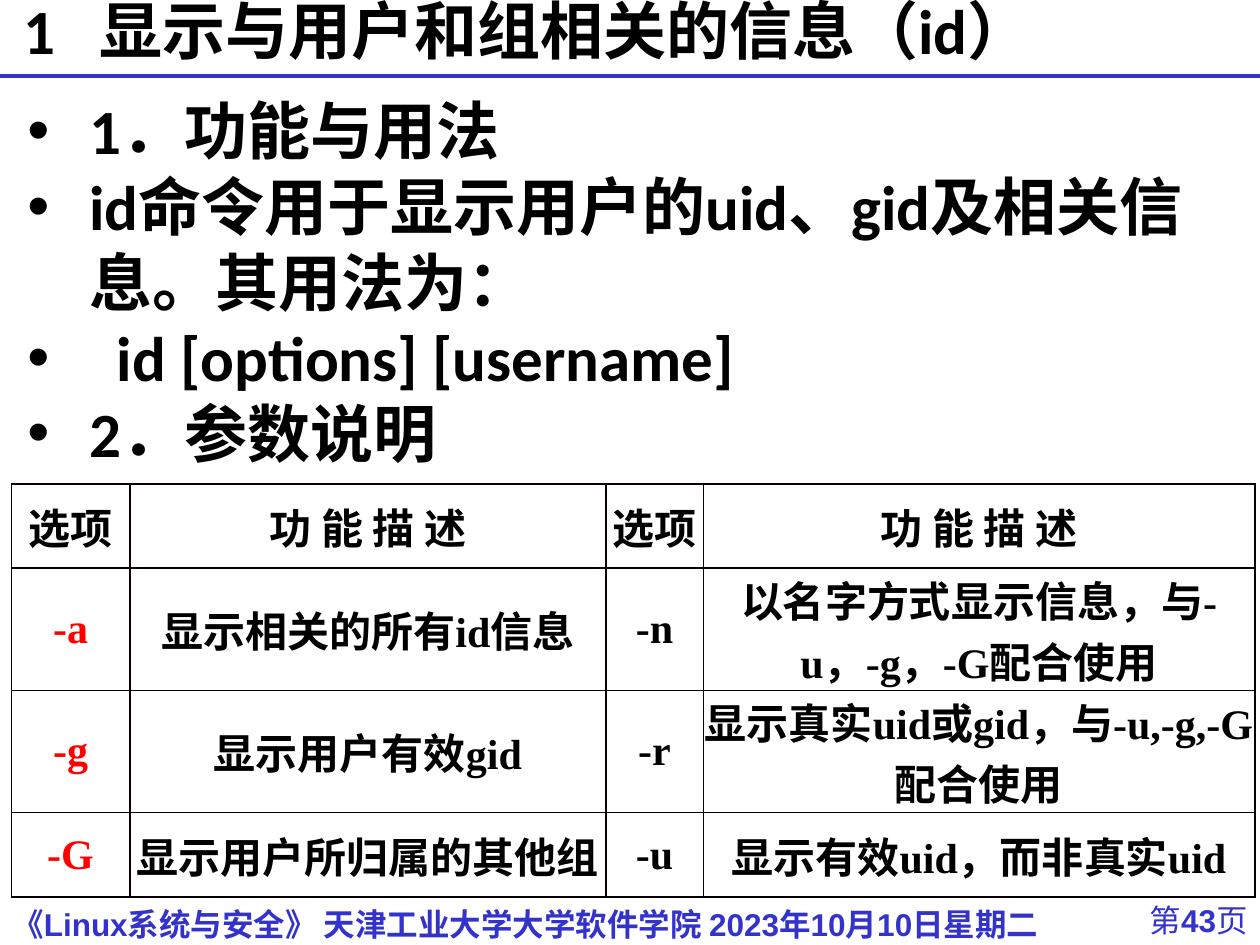
from dataclasses import dataclass

from lxml import etree
from pptx import Presentation
from pptx.dml.color import RGBColor
from pptx.enum import shapes, text
from pptx.oxml import ns
from pptx.util import Inches, Pt

BLACK, BLUE, RED, BORDER = "000000", "3333CC", "FF0000", "080000"


@dataclass
class Style:
    font: str
    size: int
    color: str = BLACK
    bold: bool = True
    east_asian: str = ""


@dataclass
class Bullet:
    wording: str
    indent: float = 0.49


HEADING = Style("Calibri", 36, east_asian="Calibri")
FOOTER = Style("Arial", 18, BLUE)
PAGE_NUMBER = Style("Arial", 18, BLUE, bold=False)
CELL = Style("Times New Roman", 24)
OPTION = Style("Times New Roman", 24, RED)

BULLETS = [
    Bullet("1．功能与用法"),
    Bullet("id命令用于显示用户的uid、gid及相关信息。其用法为："),
    Bullet("id [options] [username]", 0.71),
    Bullet("2．参数说明"),
]
COLUMNS = [0.94, 3.78, 0.77, 4.38]
ROWS = [0.67, 0.97, 0.97, 0.67]
OPTIONS = [
    ["选项", "功 能 描 述", "选项", "功 能 描 述"],
    ["-a", "显示相关的所有id信息", "-n", "以名字方式显示信息，与-u，-g，-G配合使用"],
    ["-g", "显示用户有效gid", "-r", "显示真实uid或gid，与-u,-g,-G配合使用"],
    ["-G", "显示用户所归属的其他组", "-u", "显示有效uid，而非真实uid"],
]


def rgb(value: str) -> RGBColor:
    return RGBColor.from_string(value)


def add_element(parent, tag: str, **attributes: str):
    return etree.SubElement(parent, ns.qn(tag), attributes)


def apply_style(para, style: Style) -> None:
    font = para.font
    font.name, font.size, font.bold = style.font, Pt(style.size), style.bold
    font.color.rgb = rgb(style.color)
    if style.east_asian:
        defaults = para._p.pPr.find(ns.qn("a:defRPr"))
        add_element(defaults, "a:ea", typeface=style.east_asian)


def add_box(page, left: float, top: float, width: float, height: float):
    """Add a wrapping text box and return its text frame."""
    box = page.shapes.add_textbox(
        Inches(left), Inches(top), Inches(width), Inches(height))
    box.text_frame.word_wrap = True
    return box.text_frame


def add_footer(page) -> None:
    para = add_box(page, 0, 7.13, 10, 0.37).paragraphs[0]
    para.text = "《Linux系统与安全》 天津工业大学大学软件学院 2023年10月10日星期二"
    apply_style(para, FOOTER)

    para = add_box(page, 8.11, 7.1, 1.89, 0.38).paragraphs[0]
    para.alignment = text.PP_ALIGN.RIGHT
    apply_style(para, PAGE_NUMBER)
    for wording in ("第", "43", "页"):
        span = para.add_run()
        span.text = wording
        if wording.isdigit():
            span.font.bold = True


def add_rule(page) -> None:
    rule = page.shapes.add_connector(
        shapes.MSO_CONNECTOR.STRAIGHT,
        Inches(0), Inches(0.6), Inches(10), Inches(0.6))
    rule.line.color.rgb = rgb(BLUE)
    rule.line.width = Pt(2.25)
    add_element(rule._element.spPr, "a:effectLst")


def add_title(page) -> None:
    frame = add_box(page, 0.09, -0.19, 9.41, 0.94)
    frame.vertical_anchor = text.MSO_ANCHOR.MIDDLE
    para = frame.paragraphs[0]
    para.text = "1\t显示与用户和组相关的信息（id）"
    para.line_spacing = 0.87
    tabs = add_element(para._p.get_or_add_pPr(), "a:tabLst")
    add_element(tabs, "a:tab", pos=str(Inches(0.6)), algn="l")
    apply_style(para, HEADING)


def add_bullets(page) -> None:
    frame = add_box(page, 0.12, 0.68, 9.76, 3.15)
    for index, bullet in enumerate(BULLETS):
        para = frame.add_paragraph() if index else frame.paragraphs[0]
        para.text = bullet.wording
        properties = para._p.get_or_add_pPr()
        properties.set("marL", str(Inches(bullet.indent)))
        properties.set("indent", str(-Inches(bullet.indent)))
        color = add_element(properties, "a:buClr")
        add_element(color, "a:srgbClr", val=BLACK)
        add_element(properties, "a:buFont", typeface="Arial")
        add_element(properties, "a:buChar", char="•")
        apply_style(para, HEADING)


def set_borders(cell, widths: dict[str, float]) -> None:
    properties = cell._tc.get_or_add_tcPr()
    for position, (side, width) in enumerate(widths.items()):
        line = etree.Element(ns.qn(f"a:ln{side}"), w=str(Pt(width)))
        fill = add_element(line, "a:solidFill")
        add_element(fill, "a:srgbClr", val=BORDER)
        properties.insert(position, line)


def add_options_table(page) -> None:
    table = page.shapes.add_table(
        len(ROWS), len(COLUMNS), Inches(0.09), Inches(3.84),
        Inches(sum(COLUMNS)), Inches(sum(ROWS))).table
    table.first_row = table.horz_banding = False
    for column, width in zip(table.columns, COLUMNS):
        column.width = Inches(width)
    for row, height in zip(table.rows, ROWS):
        row.height = Inches(height)
    for r, wordings in enumerate(OPTIONS):
        for c, wording in enumerate(wordings):
            cell = table.cell(r, c)
            cell.margin_left = cell.margin_right = Inches(0)
            cell.margin_top = cell.margin_bottom = Inches(0)
            cell.vertical_anchor = text.MSO_ANCHOR.MIDDLE
            cell.fill.background()
            set_borders(cell, {"L": 0.5 if c == 3 else 1,
                               "R": 0.5 if c == 2 else 1, "T": 1, "B": 1})
            para = cell.text_frame.paragraphs[0]
            para.text = wording
            para.alignment = text.PP_ALIGN.CENTER
            apply_style(para, OPTION if r and c == 0 else CELL)


def main() -> None:
    deck = Presentation()
    deck.slide_width, deck.slide_height = Inches(10), Inches(7.5)
    page = deck.slides.add_slide(deck.slide_layouts[6])
    add_footer(page)
    add_rule(page)
    add_title(page)
    add_bullets(page)
    add_options_table(page)
    deck.save("out.pptx")


if __name__ == "__main__":
    main()
